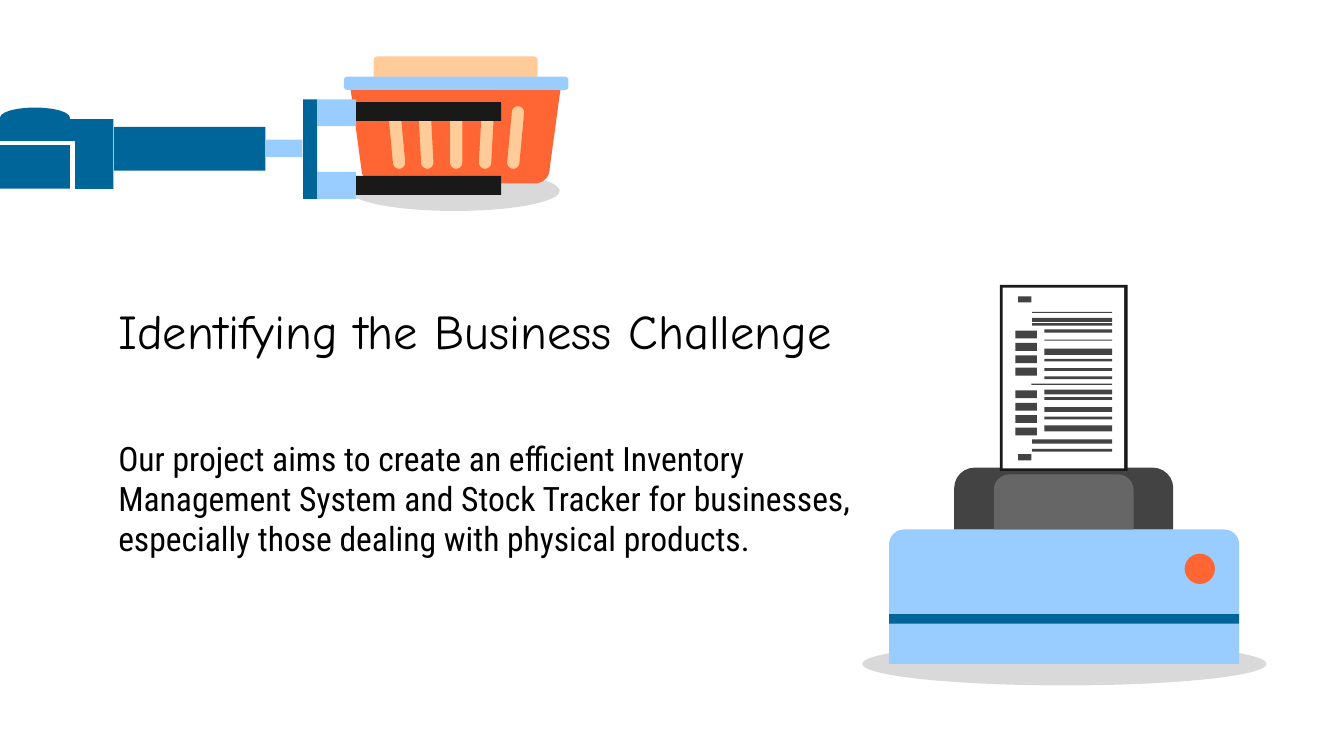
from math import cos, pi, sin

from pptx import Presentation
from pptx.dml.color import RGBColor
from pptx.enum.shapes import MSO_SHAPE as Preset
from pptx.enum.text import MSO_ANCHOR as Anchor, MSO_AUTO_SIZE as AutoSize, PP_ALIGN as Align
from pptx.util import Inches, Pt

BLACK = RGBColor(0x00, 0x00, 0x00)
WHITE = RGBColor(0xFF, 0xFF, 0xFF)
INK = RGBColor(0x19, 0x19, 0x19)
CHARCOAL = RGBColor(0x43, 0x43, 0x43)
GREY = RGBColor(0x66, 0x66, 0x66)
SHADOW = RGBColor(0xD9, 0xD9, 0xD9)
NAVY = RGBColor(0x00, 0x66, 0x99)
SKY = RGBColor(0x99, 0xCC, 0xFF)
ORANGE = RGBColor(0xFF, 0x66, 0x33)
PEACH = RGBColor(0xFF, 0xCC, 0x99)

COLUMNS, ROWS = 100, 56.25
CELL = Inches(0.1)


def arc(x, y, rx, ry, start, end, steps=12):
    angles = [start + (end - start) * i / steps for i in range(steps + 1)]
    return [(x + rx * cos(a), y + ry * sin(a)) for a in angles]


def box(left, top, right, bottom):
    return [(left, top), (right, top), (right, bottom), (left, bottom)]


def slot(top_x, bottom_x, radius=0.46):
    return (arc(top_x, 8.36, radius, radius, pi, 2 * pi)
            + arc(bottom_x, 12.1, radius, radius, 0, pi))


class SlideCanvas:
    def __init__(self, deck):
        deck.slide_width, deck.slide_height = int(COLUMNS * CELL), int(ROWS * CELL)
        self.slide = deck.slides.add_slide(deck.slide_layouts[0])
        self.layer = self.slide.shapes

    def start_group(self):
        self.layer = self.slide.shapes.add_group_shape().shapes

    def paint(self, shape, color):
        shape.shadow.inherit = False
        shape.fill.solid()
        shape.fill.fore_color.rgb = color
        shape.line.fill.background()

    def preset(self, kind, left, top, width, height, color, corners=()):
        cells = (int(n * CELL) for n in (left, top, width, height))
        shape = self.layer.add_shape(kind, *cells)
        for i, corner in enumerate(corners):
            shape.adjustments[i] = corner
        self.paint(shape, color)

    def block(self, left, top, width, height, color):
        self.preset(Preset.RECTANGLE, left, top, width, height, color)

    def outline(self, contours, color):
        scaled = [[(int(x * CELL), int(y * CELL)) for x, y in c] for c in contours]
        builder = self.layer.build_freeform(*scaled[0][0])
        builder.add_line_segments(scaled[0][1:])
        for contour in scaled[1:]:
            builder.move_to(*contour[0])
            builder.add_line_segments(contour[1:])
        self.paint(builder.convert_to_shape(), color)

    def text(self, holder, left, top, width, height, words, font, size, anchor, spacing):
        holder.left, holder.top = int(left * CELL), int(top * CELL)
        holder.width, holder.height = int(width * CELL), int(height * CELL)
        frame = holder.text_frame
        frame.word_wrap, frame.auto_size = True, AutoSize.NONE
        frame.vertical_anchor = anchor
        frame.margin_left = frame.margin_right = CELL
        frame.margin_top = frame.margin_bottom = CELL
        paragraph = frame.paragraphs[0]
        paragraph.alignment = Align.LEFT
        paragraph.space_before = Pt(0)
        paragraph.line_spacing = spacing
        run = paragraph.add_run()
        run.text = words
        run.font.name, run.font.size = font, Pt(size)
        run.font.color.rgb = BLACK


def add_wording(canvas):
    title, body = canvas.slide.shapes.title, canvas.slide.placeholders[1]
    canvas.text(title, 7.8, 21.9, 57.3, 5.2, "Identifying the Business Challenge",
                "Comic Neue", 26, Anchor.TOP, 0.9)
    canvas.text(body, 7.8, 19.75, 57.3, 22.8,
                "Our project aims to create an efficient Inventory Management System and "
                "Stock Tracker for businesses, especially those dealing with physical products.",
                "Roboto Condensed", 18, Anchor.BOTTOM, 1.0)


def add_printer(canvas):
    canvas.start_group()
    canvas.preset(Preset.OVAL, 64.15, 47.8, 30.1, 3.2, SHADOW)
    rounded_top = Preset.ROUND_2_SAME_RECTANGLE
    canvas.preset(rounded_top, 66.15, 39.4, 26.05, 10, SKY, (0.11, 0))
    canvas.preset(rounded_top, 71, 34.8, 16.3, 4.6, CHARCOAL, (0.33, 0))
    canvas.preset(rounded_top, 73.95, 35.3, 10.4, 4.1, GREY, (0.28, 0))
    canvas.block(66.15, 45.7, 26.05, 0.7, NAVY)
    canvas.block(74.4, 21.2, 9.5, 13.85, INK)
    canvas.block(74.6, 21.4, 9.05, 13.45, WHITE)

    full_lines = [(23.2, 23.28), (23.65, 23.95), (24.05, 24.22), (32.7, 33), (33.4, 33.6)]
    item_lines = [(24.5, 24.75), (25.28, 25.35), (25.95, 26.4), (26.7, 26.9),
                  (27.4, 27.6), (28, 28.2), (29, 29.35), (29.55, 29.75),
                  (30.3, 30.65), (31, 31.2), (31.65, 32.1)]
    prices = [first + 0.92 * i for first in (24.6, 29.05) for i in range(4)]
    receipt = [box(76.8, top, 82.75, bottom) for top, bottom in full_lines]
    receipt += [box(77.7, top, 82.75, bottom) for top, bottom in item_lines]
    receipt += [box(75.55, top, 77.15, top + 0.58) for top in prices]
    receipt += [box(75.75, top, 76.75, top + 0.45) for top in (22.05, 33.8)]
    receipt.append(box(76.75, 28.55, 82.75, 28.63))
    canvas.outline(receipt, CHARCOAL)
    canvas.preset(Preset.OVAL, 88.15, 41.2, 2.25, 2.25, ORANGE)


def add_basket(canvas):
    canvas.preset(Preset.OVAL, 26.05, 12.7, 15.6, 3, SHADOW)
    canvas.preset(Preset.ROUND_2_SAME_RECTANGLE, 27.8, 4.2, 12.2, 9.1, PEACH, (0.03, 0))
    canvas.preset(Preset.ROUNDED_RECTANGLE, 25.6, 5.7, 16.7, 1, SKY, (0.25,))
    tub = ([(26.1, 6.7), (41.7, 6.7)]
           + arc(39.8, 12.6, 1.1, 1.05, 0, pi / 2)
           + arc(28, 12.6, 1.1, 1.05, pi / 2, pi))
    slots = [slot(29.35, 29.7), slot(31.6, 31.8), slot(33.95, 33.95),
             slot(36.3, 36.1), slot(38.55, 38.2)]
    canvas.outline([tub] + slots, ORANGE)


def add_robot_arm(canvas):
    canvas.block(8.5, 9.45, 11.25, 3.25, NAVY)
    canvas.block(19.75, 10.4, 2.75, 1.3, SKY)
    canvas.block(22.55, 7.4, 1.05, 7.4, NAVY)
    for knuckle_top, finger_top in ((7.4, 7.6), (12.8, 13.1)):
        canvas.block(23.6, knuckle_top, 2.9, 2, SKY)
        canvas.block(26.5, finger_top, 10.8, 1.4, INK)
    canvas.block(0, 10.8, 5.2, 3.25, NAVY)
    canvas.outline([[(0, 8.87), (8.45, 8.87), (8.45, 14.05), (5.6, 14.05),
                     (5.6, 10.5), (0, 10.5)]], NAVY)
    canvas.outline([arc(2.6, 8.75, 2.6, 0.75, pi, 2 * pi) + [(5.2, 8.9), (0, 8.9)]], NAVY)


def main():
    deck = Presentation()
    canvas = SlideCanvas(deck)
    add_wording(canvas)
    add_printer(canvas)
    canvas.start_group()
    add_basket(canvas)
    add_robot_arm(canvas)
    deck.save("out.pptx")


if __name__ == "__main__":
    main()
